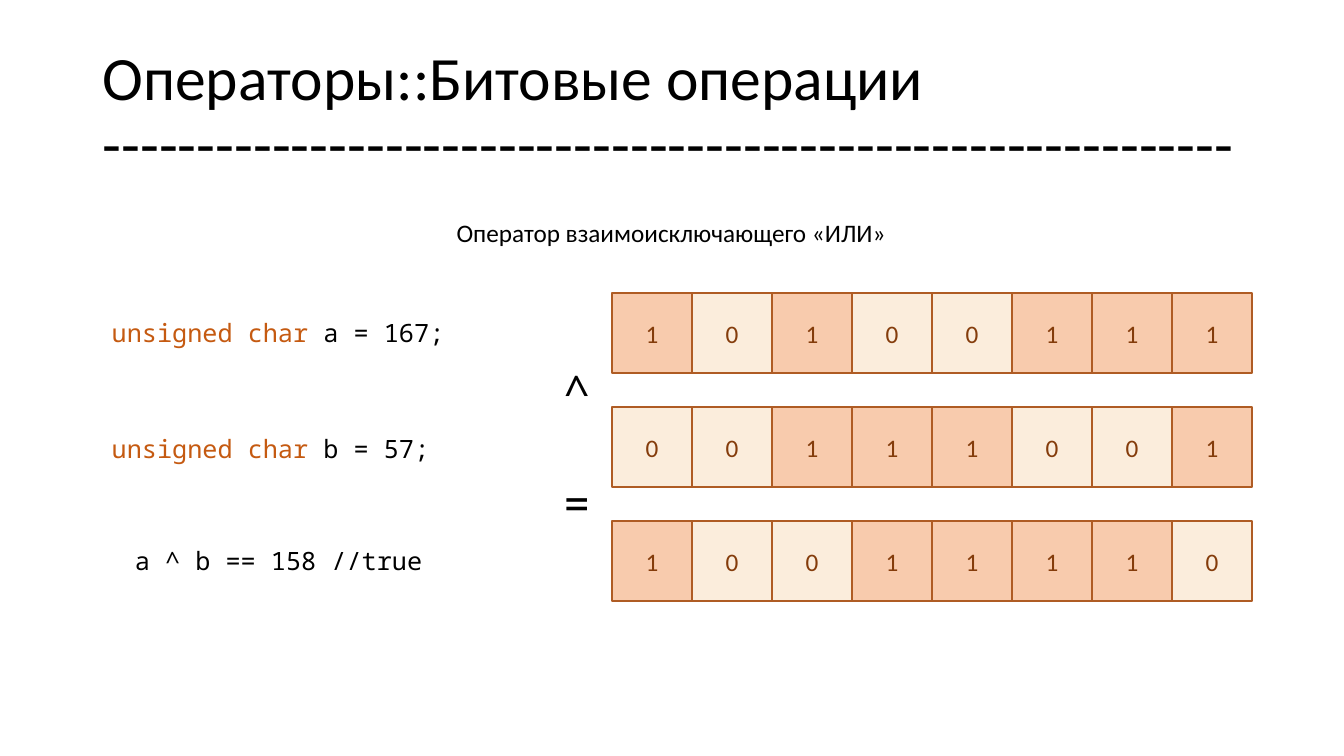
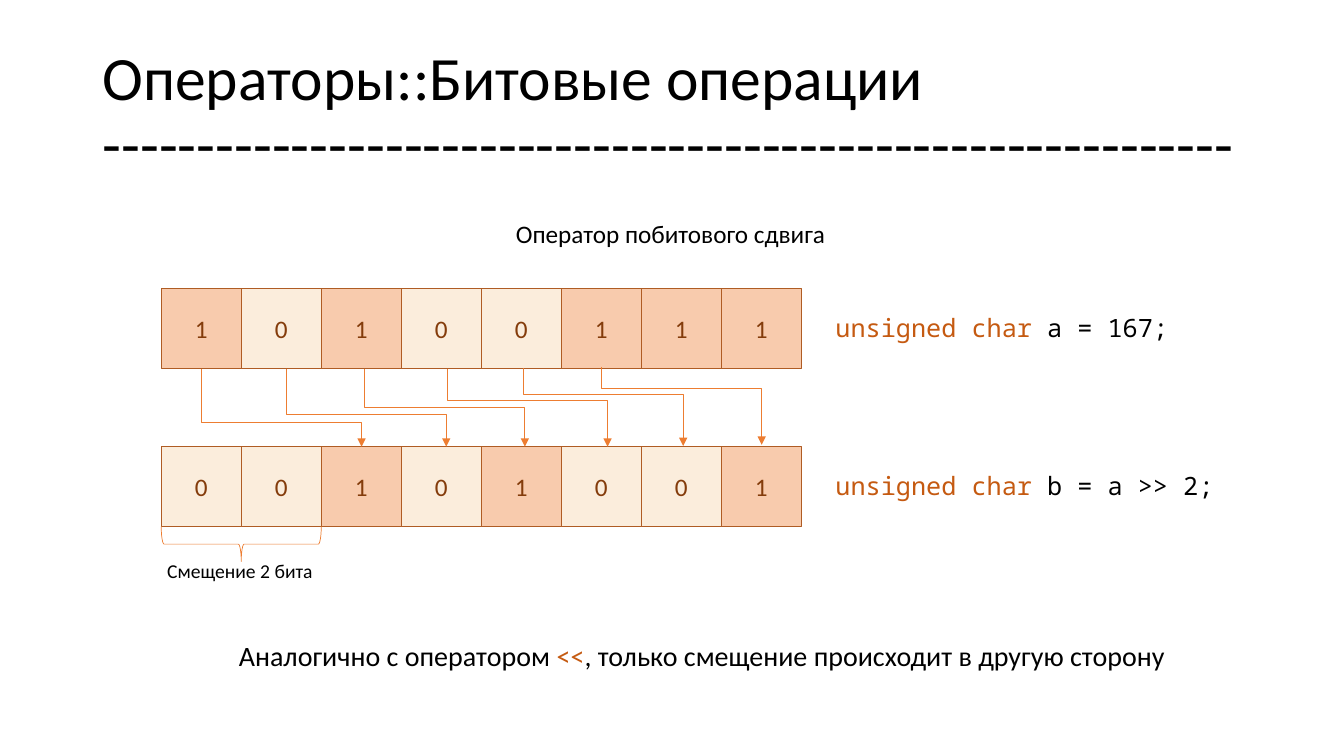
from lxml.etree import SubElement
from pptx import Presentation
from pptx.dml.color import RGBColor
from pptx.enum.shapes import MSO_CONNECTOR as Connector, MSO_SHAPE as Shape
from pptx.enum.text import MSO_ANCHOR as Anchor, MSO_AUTO_SIZE as AutoSize, PP_ALIGN as Align
from pptx.oxml.ns import qn
from pptx.util import Pt

# Shared look
BLACK, KEYWORD, ACCENT = "000000", "C55A11", "ED7D31"
BIT_FILL = {"1": "F8CBAD", "0": "FBEDDC"}
BIT_LINE, BIT_TEXT = "AF5C24", "843C0B"
SANS, MONO = "Calibri", "Noto Sans Mono"
TITLE = "Операторы::Битовые операции\v" + "-" * 60
TITLE_BOX = {"left": 66, "top": 28.75, "width": 828, "height": 104.4}
BITS, CELL = 8, 57.15
UNSIGNED = ("unsigned char ", KEYWORD)


def paint(fill, color):
    fill.solid()
    fill.fore_color.rgb = RGBColor.from_string(color)


def set_all(target, values):
    for name, value in values.items():
        setattr(target, name, value)


def write(paragraph, parts, size, font=SANS, align=Align.LEFT):
    """Fill a paragraph with (text, colour) parts."""
    paragraph.alignment = align
    for words, color in parts:
        run = paragraph.add_run()
        run.text = words
        set_all(run.font, {"name": font, "size": Pt(size)})
        paint(run.font.fill, color)


def add_titled_slide(deck):
    slide = deck.slides.add_slide(deck.slide_layouts.get_by_name("Title Only"))
    title = slide.shapes.title
    set_all(title, {side: Pt(length) for side, length in TITLE_BOX.items()})
    title.text_frame.vertical_anchor = Anchor.MIDDLE
    heading = title.text_frame.paragraphs[0]
    heading.text = TITLE
    set_all(heading, {"alignment": Align.LEFT, "line_spacing": 0.9})
    for run in heading.runs:
        set_all(run.font, {"name": SANS, "size": Pt(44)})
        paint(run.font.fill, BLACK)
    return slide


def add_label(slide, box, parts, size=18, font=SANS, align=Align.LEFT, wrap=False):
    frame = slide.shapes.add_textbox(*map(Pt, box)).text_frame
    set_all(frame, {"word_wrap": wrap, "auto_size": AutoSize.SHAPE_TO_FIT_TEXT})
    write(frame.paragraphs[0], parts, size, font, align)


def add_byte(slide, left, top, value):
    """Draw a number as a row of bit cells, highest bit first."""
    cells = slide.shapes.add_group_shape().shapes
    for place, bit in enumerate(f"{value:0{BITS}b}"):
        cell = cells.add_shape(Shape.RECTANGLE, Pt(left + place * CELL), Pt(top), Pt(CELL), Pt(CELL))
        cell.shadow.inherit = False
        paint(cell.fill, BIT_FILL[bit])
        paint(cell.line.fill, BIT_LINE)
        cell.line.width = Pt(1)
        cell.text_frame.vertical_anchor = Anchor.MIDDLE
        write(cell.text_frame.paragraphs[0], [(bit, BIT_TEXT)], 18, align=Align.CENTER)


def add_shift_arrow(slide, start_x, start_y, shift, drop, bend):
    """Elbow arrow leaving downwards; bend is the share of the drop before the turn."""
    middle_x, middle_y = start_x + shift / 2, start_y + drop / 2
    # The elbow runs sideways by default, so it is laid out mirrored and turned
    arrow = slide.shapes.add_connector(
        Connector.ELBOW,
        Pt(middle_x + drop / 2), Pt(middle_y - shift / 2),
        Pt(middle_x - drop / 2), Pt(middle_y + shift / 2))
    paint(arrow.line.fill, ACCENT)
    arrow.line.width = Pt(0.5)
    properties = arrow._element.spPr
    properties.find(qn("a:xfrm")).set("rot", str(270 * 60000))
    adjust = properties.find(qn("a:prstGeom")).find(qn("a:avLst"))
    SubElement(adjust, qn("a:gd"), name="adj1", fmla=f"val {round(bend * 100000)}")
    SubElement(properties.find(qn("a:ln")), qn("a:tailEnd"), type="triangle")
    SubElement(properties, qn("a:effectLst"))


def add_brace_below(slide, left, top, span, depth):
    middle_x, middle_y = left + span / 2, top + depth / 2
    brace = slide.shapes.add_shape(
        Shape.LEFT_BRACE, Pt(middle_x - depth / 2), Pt(middle_y - span / 2), Pt(depth), Pt(span))
    brace.rotation = 270
    brace.shadow.inherit = False
    brace.fill.background()
    paint(brace.line.fill, ACCENT)
    brace.line.width = Pt(0.5)


def build_xor(deck):
    slide = add_titled_slide(deck)
    add_label(slide, (319, 152, 322.6, 29), [("Оператор взаимоисключающего «ИЛИ»", BLACK)])
    a, b = 167, 57
    byte_left, byte_top, pitch = 437.2, 209.4, 81.4
    for row, value in enumerate((a, b, a ^ b)):
        add_byte(slide, byte_left, byte_top + row * pitch, value)
    for top, sign in ((256.3, "^"), (336.2, "=")):
        add_label(slide, (395.3, top, 33.8, 46), [(sign, BLACK)], 32, MONO)
    code = [
        ((72.7, 223.2, 256.3, 29), [UNSIGNED, (f"a = {a};", BLACK)]),
        ((72.7, 306, 244.8, 29), [UNSIGNED, (f"b = {b};", BLACK)]),
        ((89.3, 385.9, 223.2, 29), [(f"a ^ b == {a ^ b} //true", BLACK)]),
    ]
    for box, parts in code:
        add_label(slide, box, parts, font=MONO)


def build_shift(deck):
    slide = add_titled_slide(deck)
    add_label(slide, (361.4, 152.6, 238.3, 29), [("Оператор побитового сдвига", BLACK)])
    a, step = 167, 2
    byte_left, source_top, result_top = 115.2, 206.1, 319
    span = step * CELL
    code = [
        (source_top, a, 256.3, f"a = {a};"),
        (result_top, a >> step, 288.7, f"b = a >> {step};"),
    ]
    for top, value, width, statement in code:
        add_byte(slide, byte_left, top, value)
        add_label(slide, (589.7, top + 13.6, width, 29), [UNSIGNED, (statement, BLACK)], font=MONO)

    # Each surviving bit moves to its new place
    drop = result_top - source_top - CELL
    moves = [(144, 263.3, 0.69), (204.5, 263.3, 0.59), (260.6, 263.3, 0.5),
             (319.7, 263.3, 0.41), (373.7, 262.8, 0.34), (429.8, 262, 0.27)]
    for start_x, start_y, bend in moves:
        add_shift_arrow(slide, start_x, start_y, span, drop, bend)

    # Zeros that fill the gap, and the closing remark
    add_brace_below(slide, byte_left, result_top + CELL, span, 25)
    add_label(slide, (112.3, 396, 119.5, 24.5), [("Смещение 2 бита", BLACK)], 14)
    remark = [("Аналогично с оператором ", BLACK), ("<<", KEYWORD),
              (", только смещение происходит в другую сторону", BLACK)]
    add_label(slide, (37.4, 452.2, 928, 31.5), remark, 20, align=Align.CENTER, wrap=True)


def main():
    deck = Presentation()
    set_all(deck, {"slide_width": Pt(960), "slide_height": Pt(540)})
    build_xor(deck)
    build_shift(deck)
    deck.save("out.pptx")


if __name__ == "__main__":
    main()
